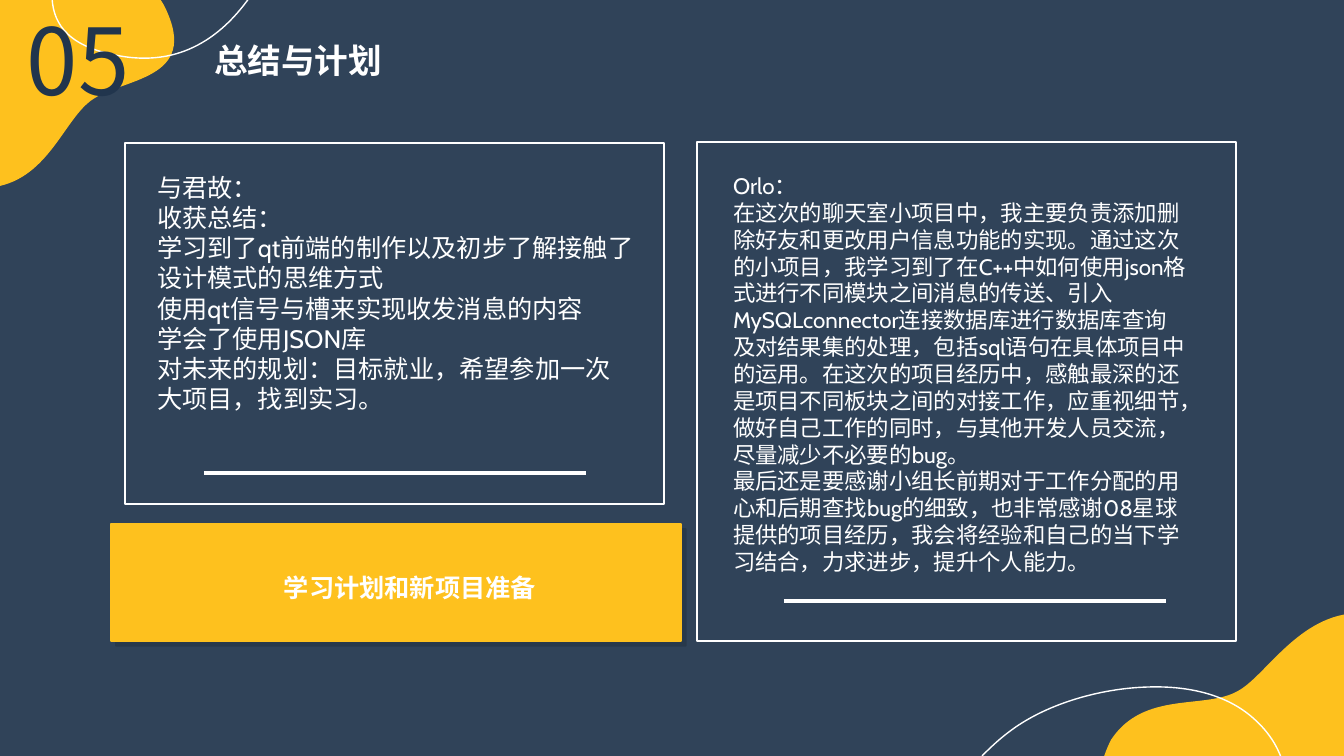
from lxml.etree import SubElement
from pptx import Presentation
from pptx.dml.color import RGBColor
from pptx.enum.shapes import MSO_CONNECTOR, MSO_SHAPE
from pptx.enum.text import MSO_ANCHOR, MSO_AUTO_SIZE, PP_ALIGN
from pptx.oxml.ns import qn
from pptx.util import Emu, Pt

PX = 914400 / 100.8
NAVY = RGBColor(0x21, 0x35, 0x4D)
YELLOW = RGBColor(0xFE, 0xC1, 0x1E)
WHITE = RGBColor(0xFF, 0xFF, 0xFF)

TITLE = [["总结与计划"]]
SECTION_NUMBER = [["05"]]
PLAN_LABEL = [["学习计划和新项目准备"]]
FIRST_SUMMARY = [
    ["与君故："],
    ["收获总结：",
     "学习到了qt前端的制作以及初步了解接触了设计模式的思维方式",
     "使用qt信号与槽来实现收发消息的内容",
     "学会了使用JSON库",
     "对未来的规划：目标就业，希望参加一次大项目，找到实习。"],
]
SECOND_SUMMARY = [
    ["Orlo："],
    ["在这次的聊天室小项目中，我主要负责添加删除好友和更改用户信息功能的实现。"
     "通过这次的小项目，我学习到了在C++中如何使用json格式进行不同模块之间消息的传送、"
     "引入MySQLconnector连接数据库进行数据库查询及对结果集的处理，"
     "包括sql语句在具体项目中的运用。在这次的项目经历中，"
     "感触最深的还是项目不同板块之间的对接工作，应重视细节，做好自己工作的同时，"
     "与其他开发人员交流，尽量减少不必要的bug。",
     "最后还是要感谢小组长前期对于工作分配的用心和后期查找bug的细致，"
     "也非常感谢08星球提供的项目经历，我会将经验和自己的当下学习结合，"
     "力求进步，提升个人能力。"],
]

BLOBS = [
    ([(1368, 614), (1368, 770), (1101, 770)],
     [(1102, 764), (1104, 756), (1107, 748), (1111, 740), (1144, 690), (1205, 710),
      (1238, 691), (1266, 676), (1299, 614), (1359, 613)]),
    ([(-24, 187), (-24, -13)],
     [(149, -13), (156, -7), (163, 1), (168, 14), (197, 83), (116, 78),
      (88, 103), (61, 126), (44, 186), (-16, 188)]),
]
ARCS = [
    [(982, 756), (994, 744), (1001, 738), (1009, 732), (1044, 705), (1099, 688),
     (1150, 687), (1190, 686), (1227, 695), (1253, 718), (1269, 732), (1278, 747), (1283, 763)],
    [(252, -6), (224, 35), (181, 69), (115, 55), (64, 45), (52, 20), (52, -6)],
]
BACKDROP = (0, 0, 1344, 756)
FRAMES = [(125, 143, 539, 361), (697, 142, 539, 499)]
PLAN_PANEL = (111, 524, 570, 117)
RULES = [(204, 473), (784, 601)]
RULE_LENGTH = 382


def px(*lengths):
    return [Emu(round(length * PX)) for length in lengths]


def set_attributes(target, values):
    for name, value in values.items():
        setattr(target, name, value)


def paint(shape, fill=None, line=None):
    shape.shadow.inherit = False
    if fill is None:
        shape.fill.background()
    else:
        shape.fill.solid()
        shape.fill.fore_color.rgb = fill
    if line is None:
        shape.line.fill.background()
    else:
        shape.line.color.rgb = line
        shape.line.width = Pt(1)


def draw_outline(corners, curve, closed, **colours):
    scaled = [tuple(px(*point)) for point in corners + curve]
    builder = slide.shapes.build_freeform(*scaled[0], scale=1.0)
    builder.add_line_segments(scaled[1:], close=closed)
    outline = builder.convert_to_shape()
    segments = list(outline._element.iter(qn("a:lnTo")))[-(len(curve) - 1):]
    for first in range(0, len(curve) - 1, 3):
        bend = segments[first]
        bend.tag = qn("a:cubicBezTo")
        for segment in segments[first + 1:first + 3]:
            bend.append(segment[0])
            segment.getparent().remove(segment)
    paint(outline, **colours)


def draw_panel(box, **colours):
    panel = slide.shapes.add_shape(MSO_SHAPE.RECTANGLE, *px(*box))
    paint(panel, **colours)
    return panel


def write(holder, box, paragraphs, size, font="Cabin", colour=WHITE, bold=False,
          wrap=True, spacing=1.0):
    slide.shapes._spTree.append(holder._element)
    set_attributes(holder, dict(zip(("left", "top", "width", "height"), px(*box))))
    frame = holder.text_frame
    set_attributes(frame, {"word_wrap": wrap, "auto_size": MSO_AUTO_SIZE.NONE,
                           "vertical_anchor": MSO_ANCHOR.TOP})
    for index, lines in enumerate(paragraphs):
        paragraph = frame.paragraphs[0] if index == 0 else frame.add_paragraph()
        properties = paragraph._p.get_or_add_pPr()
        properties.set("marL", "0")
        properties.set("indent", "0")
        SubElement(properties, qn("a:buNone"))
        set_attributes(paragraph, {"alignment": PP_ALIGN.LEFT, "line_spacing": spacing,
                                   "space_before": Pt(0)})
        for position, line in enumerate(lines):
            if position:
                paragraph.add_line_break()
            run = paragraph.add_run()
            run.text = line
            set_attributes(run.font, {"name": font, "size": Pt(size), "bold": bold})
            run.font.color.rgb = colour


presentation = Presentation()
presentation.slide_width, presentation.slide_height = px(*BACKDROP[2:])
slide = presentation.slides.add_slide(presentation.slide_layouts[3])
slide.background.fill.solid()
slide.background.fill.fore_color.rgb = WHITE
title, first_summary, second_summary = slide.placeholders

backdrop = draw_panel(BACKDROP, fill=NAVY)
backdrop_colour = backdrop._element.spPr.find(qn("a:solidFill"))[0]
SubElement(backdrop_colour, qn("a:alpha"), val="93000")

for corners, curve in BLOBS:
    draw_outline(corners, curve, True, fill=YELLOW)
for curve in ARCS:
    draw_outline([], curve, False, line=WHITE)
for frame_box in FRAMES:
    draw_panel(frame_box, line=WHITE)

plan_panel = draw_panel(PLAN_PANEL, fill=YELLOW, line=YELLOW)
effects = plan_panel._element.spPr.find(qn("a:effectLst"))
shadow = SubElement(effects, qn("a:outerShdw"), blurRad="0", dist="63500", dir="2700000",
                    algn="tl", rotWithShape="0")
shade = SubElement(shadow, qn("a:srgbClr"), val="000000")
SubElement(shade, qn("a:alpha"), val="14000")

for left, top in RULES:
    rule = slide.shapes.add_connector(MSO_CONNECTOR.STRAIGHT,
                                      *px(left, top, left + RULE_LENGTH, top))
    rule.line.color.rgb = WHITE
    rule.line.width = Pt(2.25)
    SubElement(rule._element.spPr, qn("a:effectLst"))

section_number, plan_label = [slide.shapes.add_textbox(0, 0, 0, 0) for _ in range(2)]
write(section_number, (17, -2, 130, 122), SECTION_NUMBER, 66, "Noto Sans CJK SC", NAVY, wrap=False)
write(title, (204, 35, 250, 50), TITLE, 24, bold=True)
write(plan_label, (274, 552, 339, 51), PLAN_LABEL, 18, bold=True, spacing=1.5)
write(first_summary, (147, 167, 497, 254), FIRST_SUMMARY, 18)
write(second_summary, (723, 167, 474, 445), SECOND_SUMMARY, 16)

presentation.save("out.pptx")
